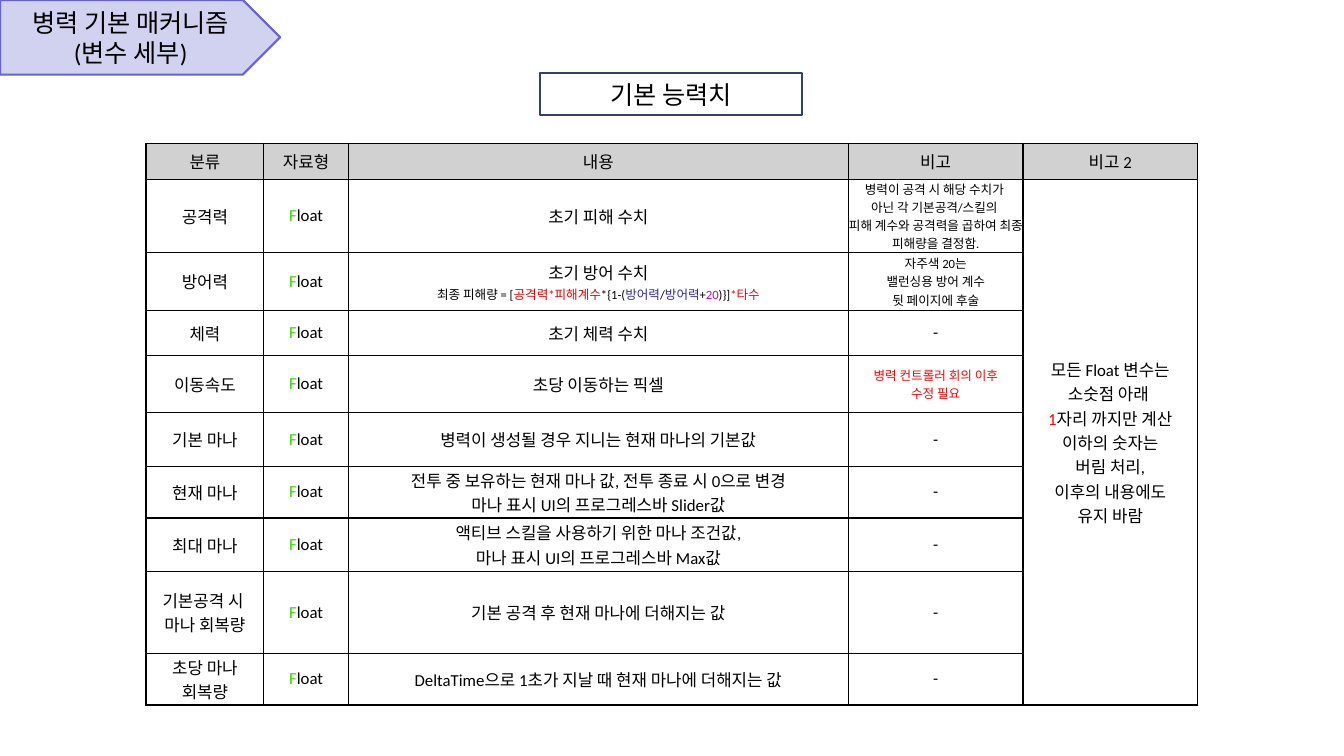
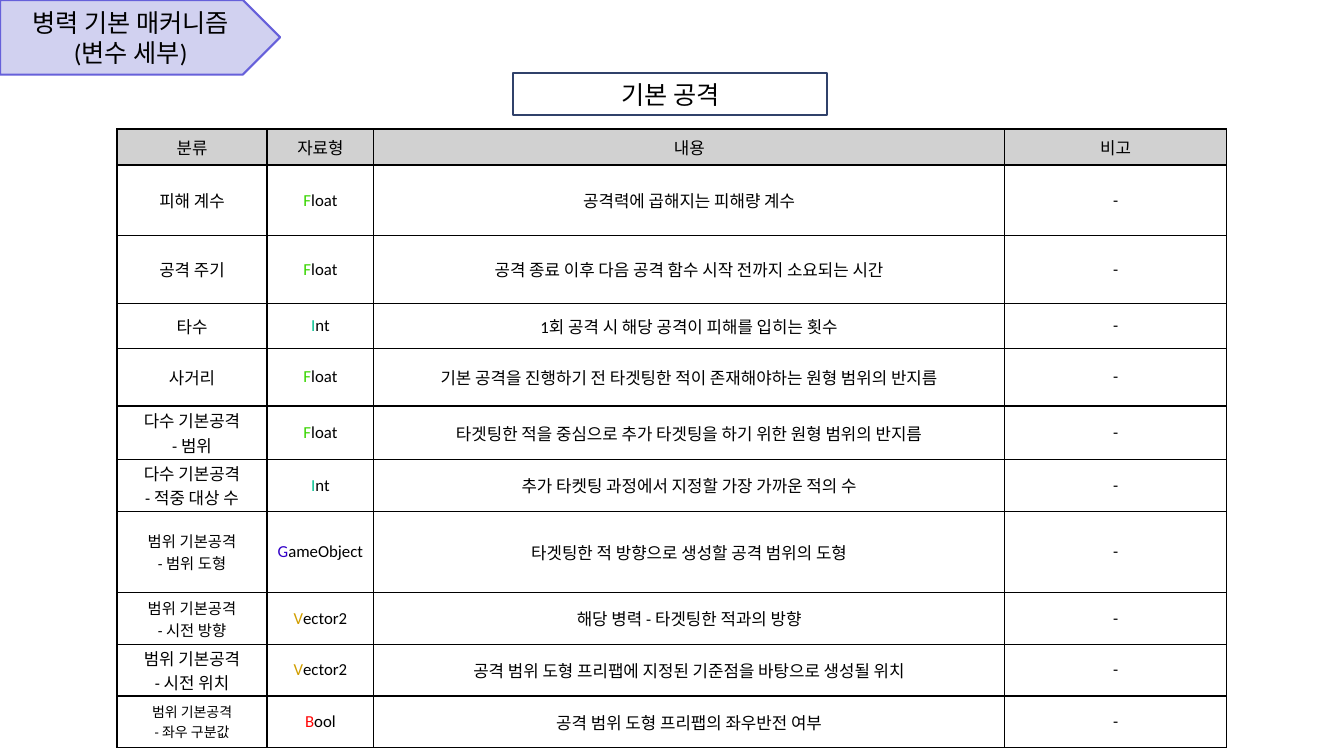
from dataclasses import dataclass
from lxml.etree import SubElement
from pptx import Presentation
from pptx.dml.color import RGBColor
from pptx.enum.shapes import MSO_SHAPE
from pptx.enum.text import MSO_ANCHOR, PP_ALIGN
from pptx.oxml.ns import qn
from pptx.util import Cm, Pt


@dataclass(frozen=True)
class Theme:
    font: str = "Calibri"
    title: float = 18
    body: float = 12
    compact: float = 11
    tight: float = 10
    note: float = 9
    ink: str = "000000"
    paper: str = "FFFFFF"
    header: str = "D1D1D1"
    tag_fill: str = "D1D1F0"
    tag_line: str = "6660DA"
    heading_line: str = "30416A"
    alert: str = "FF0000"
    attack: str = "E80000"
    defense: str = "3129AF"
    balance: str = "C900B9"


theme = Theme()
type_colors = {
    "Float": "38D500",
    "Int": "00C18E",
    "GameObject": "3200C8",
    "Vector2": "D19E00",
    "Bool": "FF0404",
}


@dataclass(frozen=True)
class Line:
    text: str = ""
    size: float = theme.body
    color: str = theme.ink
    runs: tuple = ()


def write(frame, lines):
    for number, line in enumerate(lines):
        paragraph = frame.paragraphs[0] if number == 0 else frame.add_paragraph()
        paragraph.alignment = PP_ALIGN.CENTER
        paragraph.font.name = theme.font
        paragraph.font.size = Pt(line.size)
        paragraph.font.color.rgb = RGBColor.from_string(line.color)
        for text, color in line.runs or ((line.text, line.color),):
            run = paragraph.add_run()
            run.text = text
            if line.runs:
                run.font.color.rgb = RGBColor.from_string(color)


def add_label(slide, preset, place, lines, outline, fill=None):
    label = slide.shapes.add_shape(preset, *(Cm(value) for value in place))
    label.shadow.inherit = False
    if fill:
        label.fill.solid()
        label.fill.fore_color.rgb = RGBColor.from_string(fill)
    else:
        label.fill.background()
    label.line.color.rgb = RGBColor.from_string(outline)
    label.line.width = Pt(1.5)
    label.text_frame.word_wrap = True
    label.text_frame.vertical_anchor = MSO_ANCHOR.MIDDLE
    write(label.text_frame, [Line(text, theme.title) for text in lines])
    return label


damage_formula = Line(size=theme.note, runs=(
    ("최종 피해량 = [", theme.ink),
    ("공격력*피해계수", theme.attack),
    ("*{1-(", theme.ink),
    ("방어력", theme.defense),
    ("/", theme.ink),
    ("방어력", theme.defense),
    ("+", theme.ink),
    ("20", theme.balance),
    (")}]", theme.ink),
    ("*타수", theme.alert),
))
attack_note = [Line(text, theme.note) for text in (
    "병력이 공격 시 해당 수치가 ",
    "아닌 각 기본공격/스킬의 ",
    "피해 계수와 공격력을 곱하여 최종 피해량을 결정함.",
)]
defense_note = [Line(text, theme.note) for text in (
    "자주색 20는", "밸런싱용 방어 계수", "뒷 페이지에 후술",
)]
speed_note = [Line(text, theme.note, theme.alert) for text in (
    "병력 컨트롤러 회의 이후", "수정 필요",
)]
float_rule = [
    Line("모든 Float 변수는"),
    Line("소숫점 아래 "),
    Line(runs=(("1", theme.alert), ("자리 까지만 계산", theme.ink))),
    Line("이하의 숫자는"),
    Line("버림 처리,"),
    Line("이후의 내용에도"),
    Line("유지 바람"),
]
shape_label, direction_label = (
    [Line("범위 기본공격", theme.compact), Line(text, theme.compact)]
    for text in ("- 범위 도형", "- 시전 방향")
)
flip_label = [Line(text, theme.tight) for text in ("범위 기본공격", "- 좌우 구분값")]

sections = [
    {
        "heading": "기본 능력치",
        "heading_place": (13.61, 1.85, 6.6, 1.04),
        "origin": (3.68, 3.61),
        "widths": (2.97, 2.13, 12.6, 4.4, 4.4),
        "heights": (0.91, 1.78, 1.45, 1.14, 1.45, 1.35, 1.3, 1.35, 2.06, 1.3),
        "rows": [
            ("분류", "자료형", "내용", "비고", "비고 2"),
            ("공격력", "Float", "초기 피해 수치", attack_note, float_rule),
            ("방어력", "Float", [Line("초기 방어 수치"), damage_formula], defense_note),
            ("체력", "Float", "초기 체력 수치", "-"),
            ("이동속도", "Float", "초당 이동하는 픽셀", speed_note),
            ("기본 마나", "Float", "병력이 생성될 경우 지니는 현재 마나의 기본값", "-"),
            ("현재 마나", "Float",
             "전투 중 보유하는 현재 마나 값, 전투 종료 시 0으로 변경\n"
             "마나 표시 UI의 프로그레스바 Slider값", "-"),
            ("최대 마나", "Float",
             "액티브 스킬을 사용하기 위한 마나 조건값,\n"
             "마나 표시 UI의 프로그레스바 Max값", "-"),
            ("기본공격 시 \n마나 회복량", "Float", "기본 공격 후 현재 마나에 더해지는 값", "-"),
            ("초당 마나\n회복량", "Float",
             "DeltaTime으로 1초가 지날 때 현재 마나에 더해지는 값", "-"),
        ],
    },
    {
        "heading": "기본 공격",
        "heading_place": (12.93, 1.85, 7.92, 1.04),
        "origin": (2.95, 3.25),
        "widths": (3.78, 2.69, 15.9, 5.59),
        "heights": (0.91, 1.78, 1.7, 1.14, 1.45, 1.35, 1.3, 2.06, 1.3, 1.3, 1.3),
        "rows": [
            ("분류", "자료형", "내용", "비고"),
            ("피해 계수", "Float", "공격력에 곱해지는 피해량 계수", "-"),
            ("공격 주기", "Float",
             "공격 종료 이후 다음 공격 함수 시작 전까지 소요되는 시간", "-"),
            ("타수", "Int", "1회 공격 시 해당 공격이 피해를 입히는 횟수", "-"),
            ("사거리", "Float",
             "기본 공격을 진행하기 전 타겟팅한 적이 존재해야하는 원형 범위의 반지름", "-"),
            ("다수 기본공격\n- 범위", "Float",
             "타겟팅한 적을 중심으로 추가 타겟팅을 하기 위한 원형 범위의 반지름", "-"),
            ("다수 기본공격\n- 적중 대상 수", "Int",
             "추가 타켓팅 과정에서 지정할 가장 가까운 적의 수", "-"),
            (shape_label, "GameObject", "타겟팅한 적 방향으로 생성할 공격 범위의 도형", "-"),
            (direction_label, "Vector2", "해당 병력 - 타겟팅한 적과의 방향", "-"),
            ("범위 기본공격\n- 시전 위치", "Vector2",
             "공격 범위 도형 프리팹에 지정된 기준점을 바탕으로 생성될 위치", "-"),
            (flip_label, "Bool", "공격 범위 도형 프리팹의 좌우반전 여부", "-"),
        ],
    },
]

deck = Presentation()
deck.slide_width, deck.slide_height = Cm(33.87), Cm(19.05)

for section in sections:
    slide = deck.slides.add_slide(deck.slide_layouts[6])
    add_label(slide, MSO_SHAPE.PENTAGON, (0, 0, 7.06, 1.88),
              ("병력 기본 매커니즘", "(변수 세부)"), theme.tag_line, theme.tag_fill)

    widths, heights, rows = section["widths"], section["heights"], section["rows"]
    left, top = section["origin"]
    variables = slide.shapes.add_table(
        len(heights), len(widths), Cm(left), Cm(top), Cm(sum(widths)), Cm(sum(heights))
    ).table
    variables.first_row = False
    variables.horz_banding = False
    for column, width in zip(variables.columns, widths):
        column.width = Cm(width)
    for row, height in zip(variables.rows, heights):
        row.height = Cm(height)

    for row_number, contents in enumerate(rows):
        for column_number in range(len(widths)):
            cell = variables.cell(row_number, column_number)
            cell.margin_left = cell.margin_right = cell.margin_top = cell.margin_bottom = 0
            cell.vertical_anchor = MSO_ANCHOR.MIDDLE
            properties = cell._tc.get_or_add_tcPr()
            for side in ("a:lnL", "a:lnR", "a:lnT", "a:lnB"):
                border = SubElement(properties, qn(side), w=str(Pt(1)))
                SubElement(SubElement(border, qn("a:solidFill")), qn("a:srgbClr"), val=theme.ink)
            cell.fill.solid()
            cell.fill.fore_color.rgb = RGBColor.from_string(
                theme.paper if row_number else theme.header)
            if column_number >= len(contents):
                continue
            content = contents[column_number]
            if isinstance(content, list):
                lines = content
            elif content in type_colors:
                lines = [Line(runs=((content[0], type_colors[content]), (content[1:], theme.ink)))]
            else:
                lines = [Line(text) for text in content.split("\n")]
            write(cell.text_frame, lines)

    if len(rows[1]) > len(rows[2]):
        last = len(widths) - 1
        variables.cell(1, last).merge(variables.cell(len(rows) - 1, last))

    heading = add_label(slide, MSO_SHAPE.RECTANGLE, section["heading_place"],
                        (section["heading"],), theme.heading_line).text_frame
    heading.margin_left = heading.margin_right = heading.margin_top = heading.margin_bottom = 0

deck.save("out.pptx")
